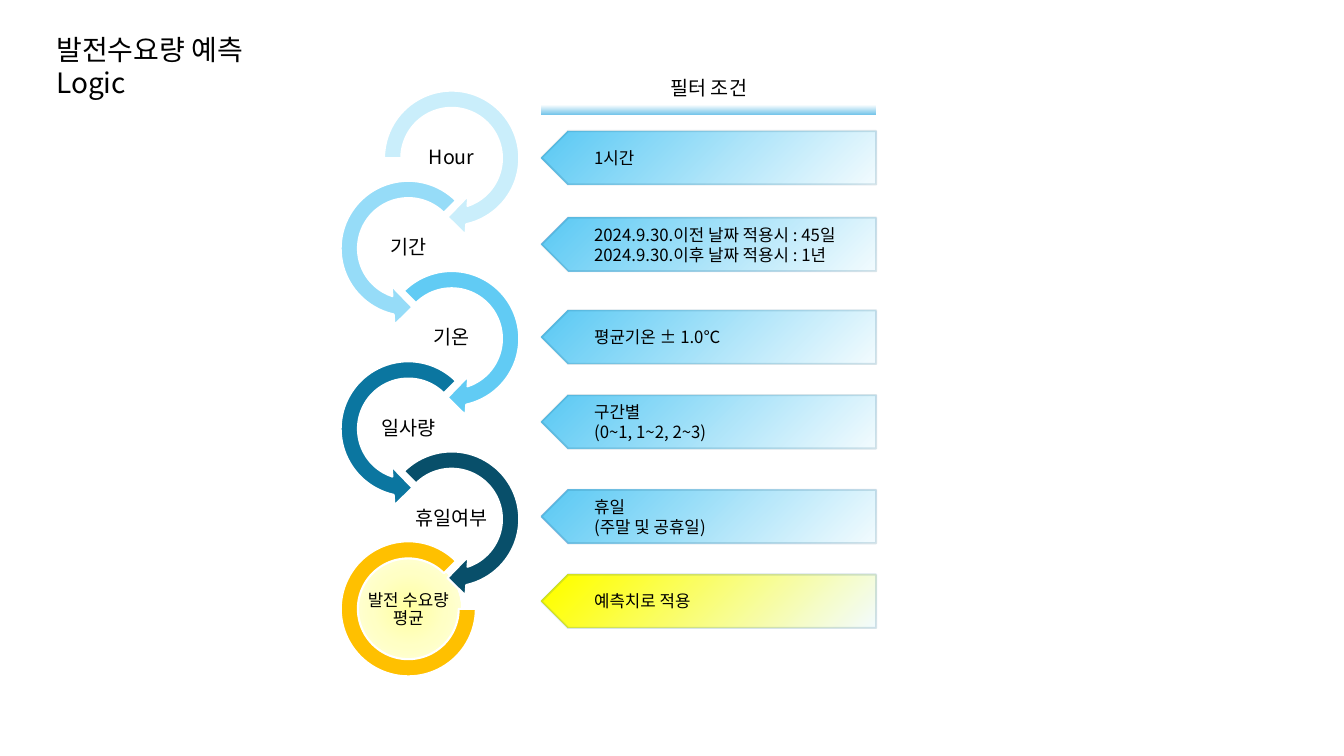
import pptx
import pptx.util
import pptx.dml.color
import pptx.enum.shapes
import pptx.enum.text
import pptx.oxml
import pptx.oxml.ns

Inches, Pt = pptx.util.Inches, pptx.util.Pt
SHAPE = pptx.enum.shapes.MSO_SHAPE
ALIGN = pptx.enum.text.PP_ALIGN
ANCHOR = pptx.enum.text.MSO_ANCHOR

# Content
FONT = "Noto Sans CJK KR"
TITLE = "발전수요량 예측 Logic"
HEADER = "필터 조건"
RESULT = "발전 수요량\v평균"
STEPS = [  # label, arrow colour
    ("Hour", "CAEEFB"),
    ("기간", "96DCF8"),
    ("기온", "61CBF4"),
    ("일사량", "0B76A0"),
    ("휴일여부", "084F6A"),
]
BLUE, YELLOW = "61CBF4", "FFFF00"
FILTERS = [  # top, colour, lines
    (1.30, BLUE, ["1시간"]),
    (2.16, BLUE, ["2024.9.30.이전 날짜 적용시 : 45일",
                  "2024.9.30.이후 날짜 적용시 : 1년"]),
    (3.08, BLUE, ["평균기온 ± 1.0℃"]),
    (3.92, BLUE, ["구간별", "(0~1, 1~2, 2~3)"]),
    (4.86, BLUE, ["휴일", "(주말 및 공휴일)"]),
    (5.70, YELLOW, ["예측치로 적용"]),
]

# Layout
RIGHT_X, LEFT_X = 3.70, 3.27
CHAIN_TOP, CHAIN_STEP, RING = 0.79, 0.895, 1.56
BAR_X, BAR_W, BAR_H = 5.37, 3.32, 0.53

prs = pptx.Presentation()
prs.slide_width, prs.slide_height = Inches(13.33), Inches(7.5)
slide = prs.slides.add_slide(prs.slide_layouts[6])


def rgb(color):
    return pptx.dml.color.RGBColor.from_string(color)


def add_shape(kind, x, y, w, h, fill=None, line=None):
    s = slide.shapes.add_shape(kind, Inches(x), Inches(y), Inches(w), Inches(h))
    s.shadow.inherit = False
    if fill:
        s.fill.solid()
        s.fill.fore_color.rgb = rgb(fill)
    if line:
        s.line.color.rgb = rgb(line)
        s.line.width = Pt(1.5)
    else:
        s.line.fill.background()
    return s


def set_gradient(s, stops, direction):
    stop_xml = "".join(
        f'<a:gs pos="{pos * 1000}"><a:srgbClr val="{color}"/></a:gs>'
        for pos, color in stops)
    grad = pptx.oxml.parse_xml(
        f'<a:gradFill {pptx.oxml.ns.nsdecls("a")} rotWithShape="1">'
        f'<a:gsLst>{stop_xml}</a:gsLst>{direction}</a:gradFill>')
    s.element.spPr.find(pptx.oxml.ns.qn("a:prstGeom")).addnext(grad)


def linear(angle):
    return f'<a:lin ang="{angle * 60000}" scaled="0"/>'


def set_text(s, lines, size, align=ALIGN.LEFT, anchor=ANCHOR.MIDDLE,
             insets=(0.1, 0.05, 0.1, 0.05), spacing=None):
    tf = s.text_frame
    tf.word_wrap = True
    tf.vertical_anchor = anchor
    tf.margin_left, tf.margin_top, tf.margin_right, tf.margin_bottom = map(Inches, insets)
    for i, line in enumerate(lines):
        p = tf.add_paragraph() if i else tf.paragraphs[0]
        p.text = line
        p.alignment = align
        p.line_spacing = spacing
        for r in p.runs:
            r.font.size = Pt(size)
            r.font.name = FONT
            r.font.color.rgb = rgb("000000")
            latin = r.font._element.find(pptx.oxml.ns.qn("a:latin"))
            latin.addnext(pptx.oxml.parse_xml(
                f'<a:ea {pptx.oxml.ns.nsdecls("a")} typeface="{FONT}"/>'))


def add_text(x, y, w, h, lines, size, **options):
    tb = slide.shapes.add_textbox(Inches(x), Inches(y), Inches(w), Inches(h))
    set_text(tb, lines, size, **options)


def add_ring_label(x, y, w, text, size):
    add_text(x, y, w, 0.43, [text], size, align=ALIGN.CENTER,
             insets=(0.01,) * 4, spacing=0.9)


def set_adjustments(s, values):
    for i, value in enumerate(values):
        s.adjustments[i] = value


# Title
add_text(0.46, 0.27, 2.7, 0.77, [TITLE], 20, anchor=ANCHOR.TOP)

# Glow behind the result
glow = add_shape(SHAPE.FLOWCHART_CONNECTOR, 3.54, 5.53, 1.03, 1.03)
set_gradient(glow, [(0, "FFFFA0"), (50, "FFFFC5"), (100, "FFFFE3")],
             '<a:path path="circle"><a:fillToRect l="50000" t="50000" '
             'r="50000" b="50000"/></a:path>')

# Chain of circular arrows, alternating right and left
for i, (label, color) in enumerate(STEPS):
    y = CHAIN_TOP + i * CHAIN_STEP
    if i % 2:
        x, kind, sweep = LEFT_X, SHAPE.LEFT_CIRCULAR_ARROW, (63, 189)
    else:
        x, kind, sweep = RIGHT_X, SHAPE.CIRCULAR_ARROW, (45, 135 if i else 108)
    arrow = add_shape(kind, x, y, RING, RING, color, "FFFFFF")
    set_adjustments(arrow, (0.11, 11.423, *sweep, 0.125))
    add_ring_label(x + 0.345, y + 0.565, 0.87, label, 14)

# Result ring
arc = add_shape(SHAPE.BLOCK_ARC, 3.38, 5.37, 1.34, 1.34, "FFC000", "FFFFFF")
set_adjustments(arc, (0, 189, 0.127))
add_ring_label(3.53, 5.84, 1.04, RESULT, 12)

# Filter bars pointing left
for y, color, lines in FILTERS:
    bar = add_shape(SHAPE.PENTAGON, BAR_X, y, BAR_W, BAR_H, line="156082")
    bar.element.spPr.xfrm.set("flipH", "1")
    set_gradient(bar, [(0, "F2FBFE"), (95, color)], linear(315))
    line_color = bar.element.spPr.find(".//" + pptx.oxml.ns.qn("a:ln")).find(
        ".//" + pptx.oxml.ns.qn("a:srgbClr"))
    line_color.append(pptx.oxml.parse_xml(
        f'<a:alpha {pptx.oxml.ns.nsdecls("a")} val="17000"/>'))
    set_text(bar, lines, 12, insets=(0.39, 0.05, 0.1, 0.05))

# Header above the bars
header = add_shape(SHAPE.RECTANGLE, BAR_X, 0.61, BAR_W, BAR_H)
set_gradient(header, [(81, "FFFFFF"), (100, "74C4E9")], linear(90))
set_text(header, [HEADER], 14, align=ALIGN.CENTER)

prs.save("out.pptx")
